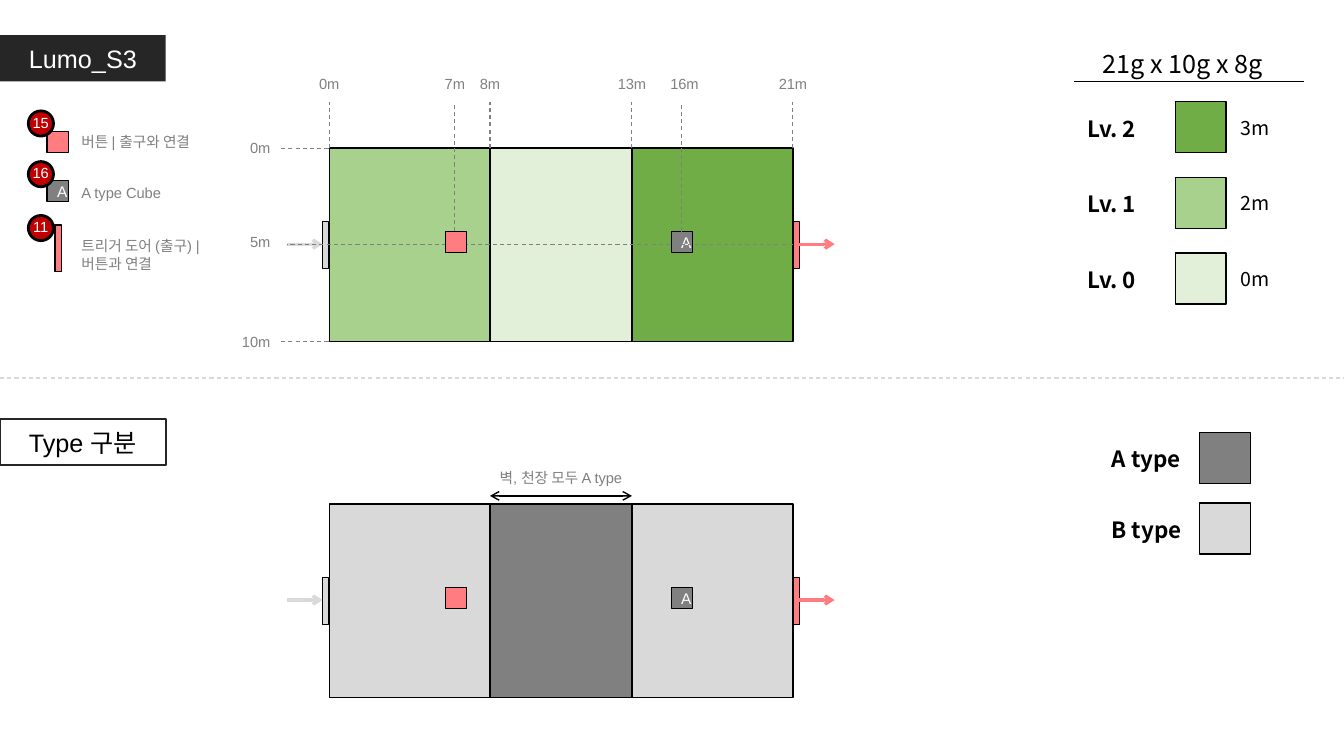
from lxml import etree
from pptx import Presentation
from pptx.dml.color import RGBColor
from pptx.enum.dml import MSO_LINE
from pptx.enum.shapes import MSO_CONNECTOR, MSO_SHAPE
from pptx.enum.text import MSO_ANCHOR, MSO_AUTO_SIZE, PP_ALIGN
from pptx.oxml.ns import qn
from pptx.util import Pt

RECT, OVAL = MSO_SHAPE.RECTANGLE, MSO_SHAPE.OVAL
STRAIGHT, DASH = MSO_CONNECTOR.STRAIGHT, MSO_LINE.DASH
LEFT, CENTER, RIGHT = PP_ALIGN.LEFT, PP_ALIGN.CENTER, PP_ALIGN.RIGHT
MIDDLE, TOP = MSO_ANCHOR.MIDDLE, MSO_ANCHOR.TOP
GROW = MSO_AUTO_SIZE.SHAPE_TO_FIT_TEXT

BLACK, WHITE, INK = "000000", "FFFFFF", "262626"
GRAY, PALE = "808080", "D9D9D9"
PINK, RED = "FF7C80", "C00000"
LEVEL_0, LEVEL_1, LEVEL_2 = "E2F0D9", "A9D18E", "70AD47"
SANS, KOREAN = "Arial", "Noto Sans CJK KR"

# Plan geometry: metre marks along the room and their places on the slide
MARKS = {0: 235.2, 7: 324.7, 8: 350, 13: 451.4, 16: 486.9, 21: 566.4}
ROOM_TOP, TYPE_TOP, PLAN_HEIGHT = 105.8, 360, 138.4
BUTTON_X, CUBE_DROP = 318.2, 59.6


def color(value):
    return RGBColor.from_string(value)


class Sheet:
    """Holds the slide and the drawing style of the level plan."""

    def __init__(self, slide):
        self.shapes = slide.shapes
        self.note_size = 10.5
        self.cube = 15.2
        self.door_width, self.door_height = 4.6, 33.4
        self.swatch_side = 36.4

    def add_run(self, frame, text, size, ink, font, align, bold=False, anchor=TOP):
        frame.word_wrap = True
        frame.vertical_anchor = anchor
        paragraph = frame.paragraphs[0]
        paragraph.alignment = align
        run = paragraph.add_run()
        run.text = text
        run.font.size, run.font.name = Pt(size), font
        run.font.bold = bold
        run.font.color.rgb = color(ink)

    def box(self, x, y, width, height, fill, line=BLACK, weight=1, kind=RECT):
        shape = self.shapes.add_shape(kind, Pt(x), Pt(y), Pt(width), Pt(height))
        shape.shadow.inherit = False
        shape.fill.solid()
        shape.fill.fore_color.rgb = color(fill)
        if line:
            shape.line.color.rgb = color(line)
            shape.line.width = Pt(weight)
        else:
            shape.line.fill.background()
        return shape

    def text(self, x, y, width, height, text, size=None, ink=GRAY, font=SANS,
             align=LEFT, bold=False, wrap=True):
        label = self.shapes.add_textbox(Pt(x), Pt(y), Pt(width), Pt(height))
        frame = label.text_frame
        self.add_run(frame, text, size or self.note_size, ink, font, align, bold)
        frame.word_wrap = wrap
        frame.auto_size = GROW

    def line(self, x1, y1, x2, y2, ink=GRAY, weight=0.75, dashed=False, ends=()):
        link = self.shapes.add_connector(STRAIGHT, Pt(x1), Pt(y1), Pt(x2), Pt(y2))
        link.line.color.rgb = color(ink)
        link.line.width = Pt(weight)
        if dashed:
            link.line.dash_style = DASH
        properties = link.element.spPr
        outline = properties.find(qn("a:ln"))
        for end in ends:
            etree.SubElement(outline, qn(f"a:{end}"), type="arrow")
        etree.SubElement(properties, qn("a:effectLst"))

    def title(self, y, text, fill, line, ink):
        tab = self.box(0, y, 118.4, 33, fill, line, 1.5)
        self.add_run(tab.text_frame, text, 18, ink, SANS, CENTER, anchor=MIDDLE)

    def button(self, x, y):
        self.box(x, y, self.cube, self.cube, PINK)

    def a_cube(self, x, y):
        cube = self.box(x, y, self.cube, self.cube, GRAY)
        self.add_run(cube.text_frame, "A", 11, WHITE, SANS, CENTER, anchor=MIDDLE)

    def door(self, x, y, fill):
        self.box(x, y, self.door_width, self.door_height, fill)

    def badge(self, y, number):
        self.box(20.2, y, 18, 18, RED, weight=2, kind=OVAL)
        self.text(15.8, y - 1.8, 26.6, 20.2, number, ink=WHITE, align=CENTER, wrap=False)

    def swatch(self, x, y, fill, name, name_x):
        self.box(x, y, self.swatch_side, self.swatch_side, fill)
        self.text(name_x, y + 5.7, 77, 26.6, name, 16, BLACK, KOREAN, bold=True)

    def plan(self, top, fills):
        walls = [MARKS[0], MARKS[8], MARKS[13], MARKS[21]]
        for left, right, fill in zip(walls, walls[1:], fills):
            self.box(left, top, right - left, PLAN_HEIGHT, fill)
        self.a_cube(479.5, top + CUBE_DROP)
        door_y, arrow_y = top + 52.6, top + 68.6
        self.door(walls[-1], door_y, PINK)
        self.door(walls[0] - 5, door_y, PALE)
        for x, ink in ((571, PINK), (205.2, PALE)):
            self.line(x, arrow_y, x + 25.2, arrow_y, ink, 2.25, ends=["tailEnd"])


def main():
    deck = Presentation()
    deck.slide_width, deck.slide_height = Pt(960), Pt(540)
    sheet = Sheet(deck.slides.add_slide(deck.slide_layouts[6]))

    # Room size and height levels
    sheet.title(25.2, "Lumo_S3", INK, None, WHITE)
    sheet.line(767.5, 58.3, 931.7, 58.3, BLACK, 1)
    sheet.text(765.4, 31, 158.4, 29, "21g x 10g x 8g", 18, BLACK, KOREAN, CENTER)
    levels = [("Lv. 2", LEVEL_2, "3m"), ("Lv. 1", LEVEL_1, "2m"), ("Lv. 0", LEVEL_0, "0m")]
    for row, (level, fill, height) in enumerate(levels):
        y = 72.7 + 54 * row
        sheet.swatch(839.5, y, fill, level, 769.7)
        sheet.text(879.1, y + 6.4, 51.1, 23.8, height, 14, BLACK, KOREAN)

    # Height plan with its dimensions
    sheet.plan(ROOM_TOP, [LEVEL_1, LEVEL_0, LEVEL_2])
    for metre, x in MARKS.items():
        end = ROOM_TOP + CUBE_DROP if metre in (7, 16) else ROOM_TOP
        sheet.line(x, end, x, 72.7, dashed=True)
        if metre == 7:
            sheet.text(268.6, 49.7, 70.6, 20.2, "7m", align=RIGHT)
        else:
            label_x = 453.6 if metre == 16 else x - 35.3
            sheet.text(label_x, 49.7, 70.6, 20.2, f"{metre}m", align=CENTER)
    for metre, y, start, end in ((0, ROOM_TOP, 234.7, 200.2),
                                 (5, 174.8, MARKS[21], 205.2),
                                 (10, ROOM_TOP + PLAN_HEIGHT, 234.7, 200.2)):
        sheet.line(start, y, end, y, dashed=True)
        label_y = 162.7 if metre == 5 else y - 10
        sheet.text(129.6, label_y, 70.6, 20.2, f"{metre}m", align=RIGHT)
    sheet.button(BUTTON_X, ROOM_TOP + CUBE_DROP)

    # Key to the numbered parts
    sheet.button(33.7, 93.8)
    sheet.a_cube(33.7, 128.9)
    sheet.door(39.4, 160.6, PINK)
    parts = [("15", 79.2, "버튼 | 출구와 연결", 91.4, 104.4, 20.2),
             ("16", 115.4, "A type Cube", 127.6, 104.4, 20.2),
             ("11", 153.9, "트리거 도어 (출구) | 버튼과 연결", 165.6, 113.8, 32.4)]
    for number, badge_y, part, y, width, height in parts:
        sheet.badge(badge_y, number)
        sheet.text(51.1, y, width, height, part)

    # Divider
    sheet.line(0, 270, 960, 270, PALE, dashed=True)

    # Type plan and its key
    sheet.title(299.5, "Type 구분", WHITE, INK, BLACK)
    for name, y, fill in (("A type", 309, GRAY), ("B type", 359.3, PALE)):
        sheet.swatch(856.8, y, fill, name, 787)
    sheet.plan(TYPE_TOP, [PALE, GRAY, PALE])
    sheet.button(BUTTON_X, TYPE_TOP + CUBE_DROP)
    sheet.line(MARKS[8], 354.2, MARKS[13], 354.2, BLACK, 1, ends=["headEnd", "tailEnd"])
    sheet.text(337, 331.2, 127.4, 20.2, "벽, 천장 모두 A type", align=CENTER)

    deck.save("out.pptx")


if __name__ == "__main__":
    main()
